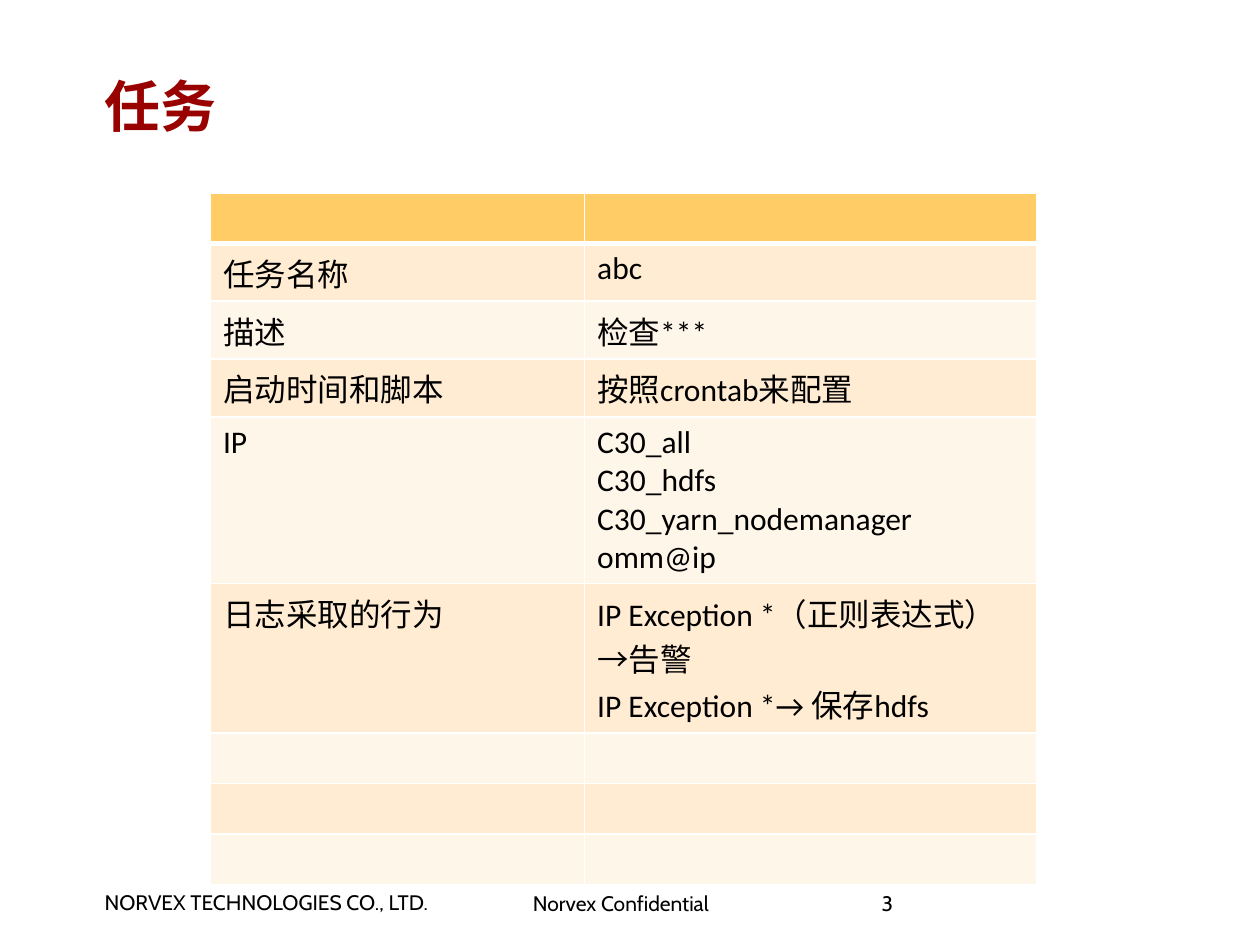
from dataclasses import dataclass

from lxml.etree import SubElement
from pptx import Presentation
from pptx.dml.color import RGBColor
from pptx.enum.text import MSO_ANCHOR, MSO_AUTO_SIZE
from pptx.oxml.ns import qn
from pptx.util import Inches, Pt


@dataclass(frozen=True)
class Theme:
    ink: str = "000000"
    title: str = "990000"
    head: str = "FFCC66"
    bands: tuple = ("FFECD3", "FFF6EA")
    rule: str = "FFFFFF"
    big: int = 32
    body: int = 18
    small: int = 12


THEME = Theme()
COLS = (2.97, 3.59)
BLANK, LINE = 0.4, 0.46
ROWS = (
    (BLANK, "", ""),
    (LINE, "任务名称", "abc"),
    (LINE, "描述", "检查***"),
    (LINE, "启动时间和脚本", "按照crontab来配置"),
    (1.32, "IP", "C30_all\nC30_hdfs\nC30_yarn_nodemanager\nomm@ip"),
    (1.19, "日志采取的行为", "IP Exception *（正则表达式） →告警\nIP Exception *→ 保存hdfs"),
    (BLANK, "", ""),
    (BLANK, "", ""),
    (BLANK, "", ""),
)


def style(frame, face, size, color, bold=False):
    for para in frame.paragraphs:
        font = para.font
        font.name, font.size, font.bold = face, Pt(size), bold
        font.color.rgb = RGBColor.from_string(color)


def add_text(slide, text, box, pads, face, size, color, bold=False, wrap=True):
    frame = slide.shapes.add_textbox(*map(Inches, box)).text_frame
    frame.word_wrap = wrap
    frame.auto_size = MSO_AUTO_SIZE.NONE if wrap else MSO_AUTO_SIZE.SHAPE_TO_FIT_TEXT
    (frame.margin_left, frame.margin_top,
     frame.margin_right, frame.margin_bottom) = map(Inches, pads)
    frame.text = text
    style(frame, face, size, color, bold)
    return frame


def add_rules(cell, base):
    props = cell._tc.get_or_add_tcPr()
    sides = (("lnL", 1), ("lnR", 1), ("lnT", 1), ("lnB", base))
    for spot, (side, width) in enumerate(sides):
        line = SubElement(props, qn(f"a:{side}"), w=str(Pt(width)))
        fill = SubElement(line, qn("a:solidFill"))
        SubElement(fill, qn("a:srgbClr"), val=THEME.rule)
        props.insert(spot, line)


def add_grid(slide):
    size = (sum(COLS), sum(row[0] for row in ROWS))
    table = slide.shapes.add_table(
        len(ROWS), len(COLS), *map(Inches, (1.67, 1.53, *size))).table
    for col, width in zip(table.columns, COLS):
        col.width = Inches(width)
    for i, (height, *texts) in enumerate(ROWS):
        table.rows[i].height = Inches(height)
        color = THEME.bands[(i - 1) % 2] if i else THEME.head
        for j, text in enumerate(texts):
            cell = table.cell(i, j)
            cell.text = text
            style(cell.text_frame, "Calibri", THEME.body, THEME.ink)
            cell.fill.solid()
            cell.fill.fore_color.rgb = RGBColor.from_string(color)
            add_rules(cell, 1 if i else 3)


def add_foot(slide):
    look = ("Cabin", THEME.small, THEME.ink)
    add_text(slide, "NORVEX TECHNOLOGIES CO., LTD.", (0.83, 7.06, 2.78, 0.2),
             (0, 0, 0.09, 0), *look, wrap=False)
    add_text(slide, "Norvex Confidential", (4.14, 7.07, 1.67, 0.2),
             (0.09, 0, 0.09, 0), *look, wrap=False)
    page = add_text(slide, " 3", (6.96, 7.1, 1.97, 0.4), (0, 0, 0, 0), *look)
    page.paragraphs[0].line_spacing = 0.85


def main():
    deck = Presentation()
    deck.slide_width, deck.slide_height = Inches(10), Inches(7.5)
    slide = deck.slides.add_slide(deck.slide_layouts[6])
    add_foot(slide)
    title = add_text(slide, "任务", (0.83, 0.36, 8.35, 0.95), (0, 0.04, 0.09, 0.04),
                     "Arial", THEME.big, THEME.title, bold=True)
    title.vertical_anchor = MSO_ANCHOR.MIDDLE
    add_grid(slide)
    deck.save("out.pptx")


if __name__ == "__main__":
    main()
